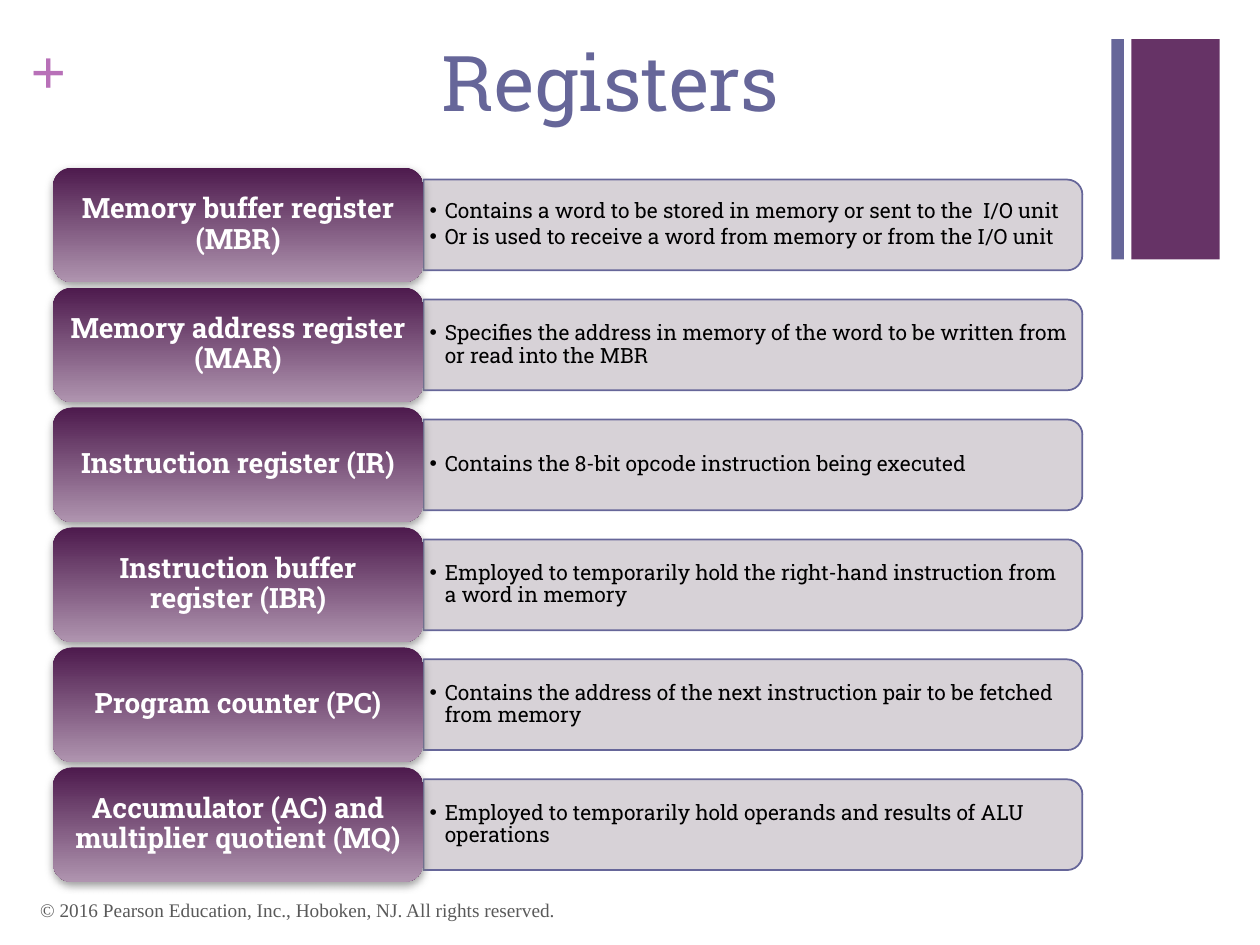
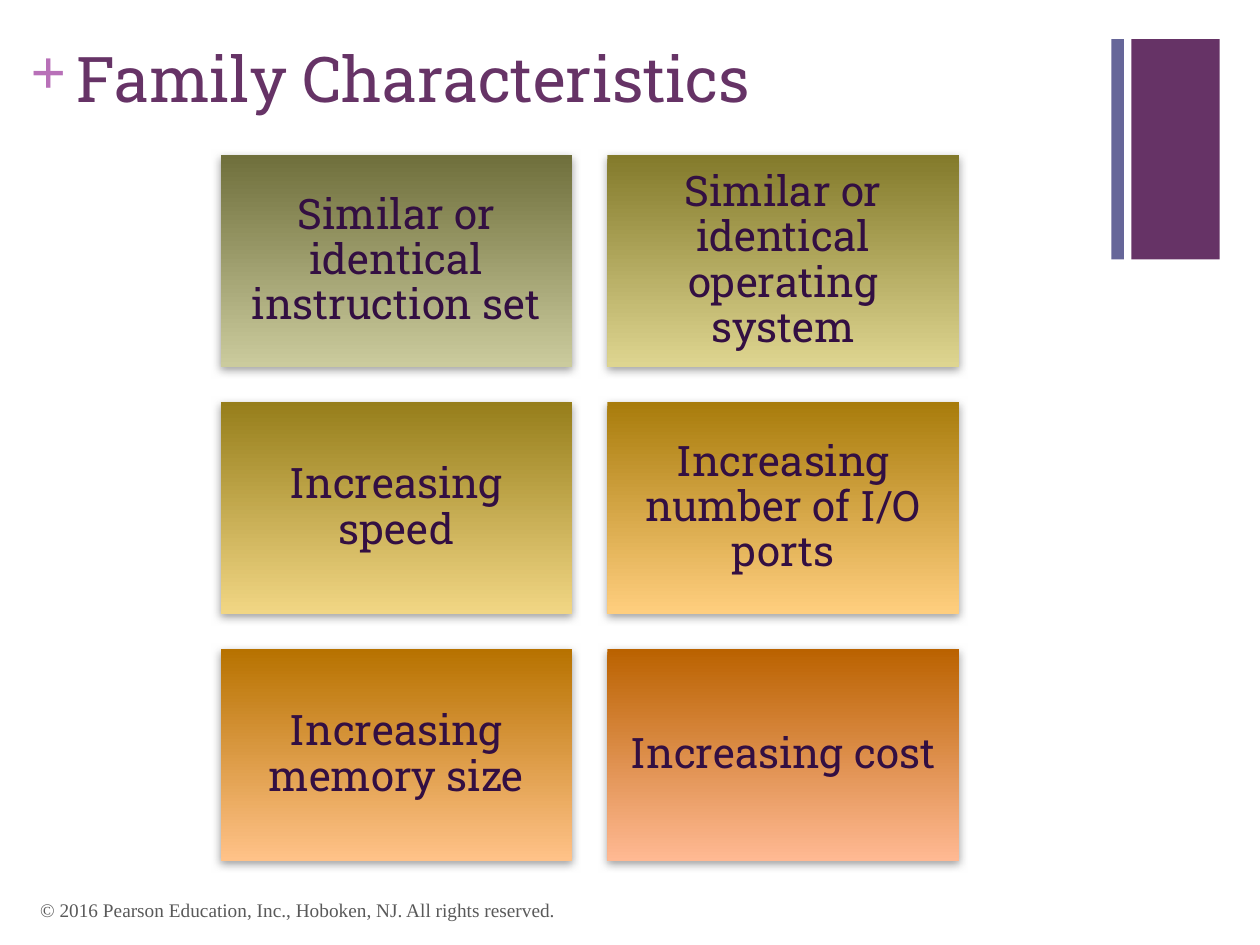
from pptx import Presentation
from pptx import util as u
from pptx.dml.color import RGBColor as Rgb
from pptx.enum import shapes, text
from lxml import etree

NS = "{http://schemas.openxmlformats.org/drawingml/2006/main}"
SLAB, TIMES = "Roboto Slab", "Times New Roman"
INK = dict(plum="663366", slate="666699", plus="B870B8", foot="595959",
           panel="D3CED3", dark="4D1A4D", pale="AF94AF", white="FFFFFF",
           black="000000", tile="330F42")
KIND, ALIGN, MID = shapes.MSO_SHAPE, text.PP_ALIGN, text.MSO_ANCHOR.MIDDLE

prs = Presentation()
prs.slide_width, prs.slide_height = u.Inches(10), u.Inches(7.5)
COL = prs.slide_width / 10    # ten columns across
ROW = prs.slide_height / 7.5  # square cells


def block(page, kind, x, y, w, h, fill):
    """Add a shape; a pair of colours gives a shaded, shadowed one."""
    shp = page.shapes.add_shape(kind, *map(int, (x * COL, y * ROW, w * COL, h * ROW)))
    shp.shadow.inherit = False
    shp.line.fill.background()
    if isinstance(fill, str):
        shp.fill.solid()
        shp.fill.fore_color.rgb = Rgb.from_string(fill)
        return shp
    shp.fill.gradient()
    shp.fill.gradient_angle = 270
    for stop, tone in zip(shp.fill.gradient_stops, fill):
        stop.color.rgb = Rgb.from_string(tone)
    glow = etree.SubElement(shp._element.spPr.find(NS + "effectLst"), NS + "outerShdw",
                            blurRad=str(u.Pt(5)), dist=str(u.Pt(2)),
                            dir="5400000", rotWithShape="0")
    tone = etree.SubElement(glow, NS + "srgbClr", val="808080")
    etree.SubElement(tone, NS + "alpha", val="75000")
    return shp


def write(shp, lines, font, size, tone, align=ALIGN.LEFT, pads=(0.1, 0.05),
          anchor=MID, bold=False, lead=None, dots=False):
    """Fill the text frame of a shape, one paragraph a line."""
    frame = shp.text_frame
    frame.word_wrap = True
    frame.auto_size = text.MSO_AUTO_SIZE.NONE
    frame.vertical_anchor = anchor
    frame.margin_left = frame.margin_right = u.Inches(pads[0])
    frame.margin_top = frame.margin_bottom = u.Inches(pads[1])
    for i, line in enumerate(lines):
        para = frame.add_paragraph() if i else frame.paragraphs[0]
        para.alignment = align
        if lead:
            para.line_spacing = lead
        if dots:
            para.level = 1
            para.space_after = u.Pt(size * 0.15)
            props = para._p.get_or_add_pPr()
            props.set("marL", str(u.Inches(0.12)))
            props.set("indent", str(u.Inches(-0.12)))
            etree.SubElement(props, NS + "buFont", typeface="Arial")
            etree.SubElement(props, NS + "buChar", char="•")
        run = para.add_run()
        run.text = line
        run.font.name, run.font.size, run.font.bold = font, u.Pt(size), bold
        run.font.color.rgb = Rgb.from_string(tone)


# Shared frame: title, corner bands, plus sign, footer
heads = [
    ("Registers", (0, 0.25, 6.29, 1.22), 44, INK["slate"], ALIGN.RIGHT),
    ("Family Characteristics", (0.51, 0.29, 8.26, 1.22), 36, INK["plum"], ALIGN.LEFT),
]
pages = []
for words, (x, y, w, h), size, tone, align in heads:
    page = prs.slides.add_slide(prs.slide_layouts[5])
    pages.append(page)
    block(page, KIND.RECTANGLE, 8.98, 0.31, 0.7, 1.75, INK["plum"])
    block(page, KIND.RECTANGLE, 8.82, 0.31, 0.1, 1.75, INK["slate"])
    title = page.shapes.title
    title.left, title.top = int(x * COL), int(y * ROW)
    title.width, title.height = int(w * COL), int(h * ROW)
    write(title, [words], SLAB, size, tone, align, (0.1, 0.02), text.MSO_ANCHOR.TOP)
    plus = page.shapes.add_textbox(*map(int, (0.24 * COL, 0.25 * ROW, 0.29 * COL, 0.61 * ROW)))
    write(plus, ["+"], TIMES, 36, INK["plus"], pads=(0, 0),
          anchor=text.MSO_ANCHOR.TOP, bold=True)
    foot = page.shapes.add_textbox(*map(int, (0.22 * COL, 7.02 * ROW, 6.7 * COL, 0.4 * ROW)))
    write(foot, ["© 2016 Pearson Education, Inc., Hoboken, NJ. All rights reserved."],
          TIMES, 11, INK["foot"])

# Registers: a label and a panel in each row
regs = [
    ("Memory buffer register (MBR)",
     ["Contains a word to be stored in memory or sent to the  I/O unit",
      "Or is used to receive a word from memory or from the I/O unit"]),
    ("Memory address register (MAR)",
     ["Specifies the address in memory of the word to be written from or read into the MBR"]),
    ("Instruction register (IR)",
     ["Contains the 8-bit opcode instruction being executed"]),
    ("Instruction buffer register (IBR)",
     ["Employed to temporarily hold the right-hand instruction from a word in memory"]),
    ("Program counter (PC)",
     ["Contains the address of the next instruction pair to be fetched from memory"]),
    ("Accumulator (AC) and multiplier quotient (MQ)",
     ["Employed to temporarily hold operands and results of ALU operations"]),
]
left, wide, tall = 0.42, 2.94, 0.91
edge, span, deep = left + wide, 5.23, 0.72
for i, (name, notes) in enumerate(regs):
    top = 1.33 + i * 0.952
    mid = top + tall / 2
    # The panel is drawn upright about its centre, then turned
    panel = block(pages[0], KIND.ROUND_2_SAME_RECTANGLE, edge + (span - deep) / 2,
                  mid - span / 2, deep, span, INK["panel"])
    panel.rotation = 90
    panel.line.color.rgb = Rgb.from_string(INK["slate"])
    panel.line.width = u.Pt(1)
    tone = panel._element.spPr.find(f"{NS}solidFill/{NS}srgbClr")
    etree.SubElement(tone, NS + "alpha", val="90000")
    note = pages[0].shapes.add_textbox(
        *map(int, (edge * COL, (mid - 0.325) * ROW, 5.19 * COL, 0.65 * ROW)))
    write(note, notes, SLAB, 12, INK["black"], pads=(0.05, 0.03), lead=0.9, dots=True)
    label = block(pages[0], KIND.ROUNDED_RECTANGLE, left, top, wide, tall,
                  (INK["dark"], INK["pale"]))
    write(label, [name], SLAB, 16, INK["white"], ALIGN.CENTER, (0.07, 0.03),
          bold=True, lead=0.9)

# Family characteristics: two columns of three tiles
tiles = [
    ("Similar or identical instruction set", "6F6F3C", "CBCB9D"),
    ("Similar or identical operating system", "837A2B", "DED590"),
    ("Increasing speed", "967E1B", "F1D684"),
    ("Increasing number of I/O ports", "A87C0C", "FFCE7E"),
    ("Increasing memory size", "B77200", "FFC288"),
    ("Increasing cost", "BA6200", "FFB993"),
]
wide, tall, gap = 2.79, 1.68, 0.28
for i, (words, *tones) in enumerate(tiles):
    row, col = divmod(i, 2)
    tile = block(pages[1], KIND.RECTANGLE, 1.75 + col * (wide + gap),
                 1.23 + row * (tall + gap), wide, tall, tones)
    write(tile, [words], SLAB, 24, INK["tile"], ALIGN.CENTER, (0.1, 0.1), lead=0.9)

prs.save("out.pptx")
